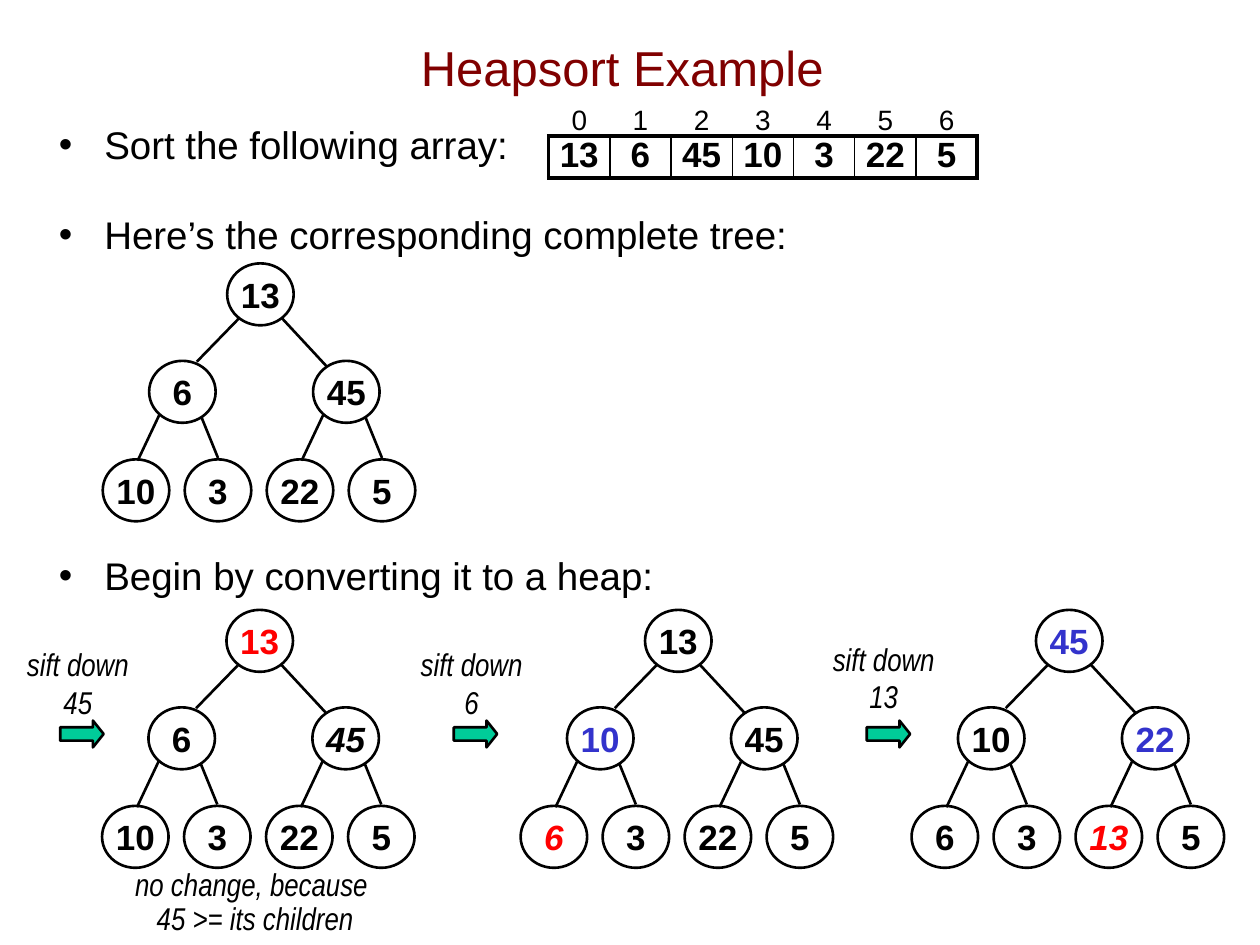
from dataclasses import dataclass

from lxml.etree import SubElement
from pptx import Presentation
from pptx.dml.color import RGBColor as RGB
from pptx.enum.shapes import MSO_CONNECTOR as CONNECTOR, MSO_SHAPE as SHAPE
from pptx.enum.text import MSO_ANCHOR as ANCHOR, PP_ALIGN as ALIGN
from pptx.oxml.ns import qn
from pptx.util import Pt


@dataclass(frozen=True)
class Theme:
    black: RGB = RGB(0, 0, 0)
    title: RGB = RGB(0x80, 0, 0)
    moving: RGB = RGB(0xFF, 0, 0)
    raised: RGB = RGB(0x33, 0x33, 0xCC)
    arrow: RGB = RGB(0, 0xCC, 0x99)
    font: str = "Arial"
    label_font: str = "Arial Narrow"
    title_size: int = 28
    body_size: int = 22
    value_size: int = 20
    label_size: int = 18
    index_size: int = 16
    line: float = 1.5
    thick: float = 2.25
    thin: float = 1


THEME = Theme()

# Tree geometry, measured from the top left corner of the root
NODE_WIDTH, NODE_HEIGHT = 38, 35.4
CHILD_X, CHILD_Y = (-44.6, 49.1), 55.7
LEAF_X, LEAF_STEP, LEAF_Y = -71.1, 46.86, 112
ROOT_EDGES = [(6.5, 31.7, -17.3, 56.2), (31, 31, 57, 59)]
CHILD_EDGES = [(5.8, 31, -6.5, 57), (30, 32.4, 39.4, 55.5)]


class Page:
    def __init__(self, slide, theme):
        self.shapes = slide.shapes
        self.theme = theme

    def style(self, para, size, color=None, font=None, bold=False, italic=False):
        para.font.name = font or self.theme.font
        para.font.size = Pt(size)
        para.font.color.rgb = color or self.theme.black
        para.font.bold, para.font.italic = bold, italic

    def text_box(self, left, top, width, height, wrap=True):
        box = self.shapes.add_textbox(Pt(left), Pt(top), Pt(width), Pt(height))
        box.text_frame.word_wrap = wrap
        return box.text_frame

    def title(self, text, *place):
        frame = self.text_box(*place)
        frame.vertical_anchor = ANCHOR.MIDDLE
        para = frame.paragraphs[0]
        para.text, para.alignment = text, ALIGN.CENTER
        self.style(para, self.theme.title_size, self.theme.title)

    def bullets(self, items, *place):
        frame = self.text_box(*place)
        for number, (text, space) in enumerate(items):
            para = frame.add_paragraph() if number else frame.paragraphs[0]
            para.text, para.space_before = text, Pt(space)
            self.style(para, self.theme.body_size)
            props = para._p.get_or_add_pPr()
            props.set("marL", str(Pt(26)))
            props.set("indent", str(Pt(-26)))
            SubElement(props, qn("a:buFont"), typeface=self.theme.font)
            SubElement(props, qn("a:buChar"), char="•")

    def label(self, text, *place, spacing=1.0):
        para = self.text_box(*place, wrap=False).paragraphs[0]
        para.text, para.alignment = text, ALIGN.CENTER
        para.line_spacing = spacing
        self.style(para, self.theme.label_size, font=self.theme.label_font, italic=True)

    def shape(self, kind, left, top, width, height, fill=None):
        shape = self.shapes.add_shape(kind, Pt(left), Pt(top), Pt(width), Pt(height))
        shape.shadow.inherit = False
        if fill is None:
            shape.fill.background()
        else:
            shape.fill.solid()
            shape.fill.fore_color.rgb = fill
        shape.line.color.rgb = self.theme.black
        shape.line.width = Pt(self.theme.line)
        return shape

    def arrow(self, left, top):
        arrow = self.shape(SHAPE.RIGHT_ARROW, left, top, 24.8, 15.3, self.theme.arrow)
        arrow.adjustments[1] = 0.4

    def node(self, value, left, top, color=None, italic=False):
        node = self.shape(SHAPE.OVAL, left, top, NODE_WIDTH, NODE_HEIGHT)
        frame = node.text_frame
        frame.margin_left = frame.margin_right = 0
        frame.margin_top = frame.margin_bottom = 0
        frame.vertical_anchor, frame.word_wrap = ANCHOR.MIDDLE, False
        para = frame.paragraphs[0]
        para.text, para.alignment = str(value), ALIGN.CENTER
        self.style(para, self.theme.value_size, color, bold=True, italic=italic)

    def edges(self, left, top, ends):
        for x1, y1, x2, y2 in ends:
            edge = self.shapes.add_connector(
                CONNECTOR.STRAIGHT, Pt(left + x1), Pt(top + y1), Pt(left + x2), Pt(top + y2))
            edge.line.color.rgb = self.theme.black
            edge.line.width = Pt(self.theme.line)
            SubElement(edge._element.spPr, qn("a:effectLst"))

    def tree(self, values, left, top, marks):
        """Draw seven values in level order; marks maps a position to (color, italic)."""
        places = [(0, 0)] + [(x, CHILD_Y) for x in CHILD_X]
        places += [(LEAF_X + LEAF_STEP * leaf, LEAF_Y) for leaf in range(4)]
        self.edges(left, top, ROOT_EDGES)
        for x in CHILD_X:
            self.edges(left + x, top + CHILD_Y, CHILD_EDGES)
        for position, (value, (x, y)) in enumerate(zip(values, places)):
            self.node(value, left + x, top + y, *marks.get(position, ()))

    def border(self, cell, side, width):
        props = cell._tc.get_or_add_tcPr()
        line = SubElement(props, qn(f"a:ln{side}"), w=str(Pt(width)))
        if width:
            fill = SubElement(line, qn("a:solidFill"))
            SubElement(fill, qn("a:srgbClr"), val=str(self.theme.black))
        else:
            SubElement(line, qn("a:noFill"))

    def array(self, values, left, top, step, heights):
        count, theme = len(values), self.theme
        table = self.shapes.add_table(
            2, count, Pt(left), Pt(top), Pt(step * count), Pt(sum(heights))).table
        table.first_row = table.horz_banding = False
        for column in table.columns:
            column.width = Pt(step)
        for row, height in zip(table.rows, heights):
            row.height = Pt(height)
        for index, value in enumerate(values):
            left_line = theme.thin if index else theme.thick
            right_line = theme.thin if index < count - 1 else theme.thick
            rows = [
                (index, theme.index_size, ANCHOR.BOTTOM, 3.6, (0, 0, 0, theme.thick)),
                (value, theme.value_size, ANCHOR.TOP, 0,
                 (left_line, right_line, theme.thick, theme.thick)),
            ]
            for row, (text, size, anchor, margin, widths) in enumerate(rows):
                cell = table.cell(row, index)
                for side, width in zip("LRTB", widths):
                    self.border(cell, side, width)
                cell.fill.background()
                cell.margin_left = cell.margin_right = cell.margin_bottom = 0
                cell.margin_top, cell.vertical_anchor = Pt(margin), anchor
                para = cell.text_frame.paragraphs[0]
                para.text, para.alignment = str(text), ALIGN.CENTER
                self.style(para, size, bold=row == 1)


def main():
    deck = Presentation()
    deck.slide_width, deck.slide_height = Pt(720), Pt(540)
    page = Page(deck.slides.add_slide(deck.slide_layouts[6]), THEME)
    values = [13, 6, 45, 10, 3, 22, 5]
    moving, raised = (THEME.moving, True), (THEME.raised, False)

    # Title and bullets
    page.title("Heapsort Example", 46, 5, 619, 67)
    page.bullets([
        ("Sort the following array:", 0),
        ("Here’s the corresponding complete tree:", 25),
        ("Begin by converting it to a heap:", 168.4),
    ], 26.6, 65.5, 693, 442)

    # The array and its tree
    page.array(values, 313.5, 54.7, 35, (23, 23.8))
    page.tree(values, 129.8, 150.5, {})

    # Trees after each sift
    heaps = [
        (129.4, values, {0: (THEME.moving, False), 2: (THEME.black, True)}),
        (368.6, [13, 10, 45, 6, 3, 22, 5], {1: raised, 3: moving}),
        (592, [45, 10, 22, 6, 3, 13, 5], {0: raised, 2: raised, 5: moving}),
    ]
    for left, heap, marks in heaps:
        page.tree(heap, left, 348.5, marks)

    # Steps between the trees
    for value, left, top in [(45, 8, 365), (6, 233, 365), (13, 468.5, 362)]:
        page.label(f"sift down\v{value}", left, top, 73, 50.4)
    for left in (34.4, 259.3, 495.3):
        page.arrow(left, 411.8)
    page.label("no change, because \v45 >= its children", 69.8, 493.2, 152, 46, spacing=0.9)

    deck.save("out.pptx")


if __name__ == "__main__":
    main()
